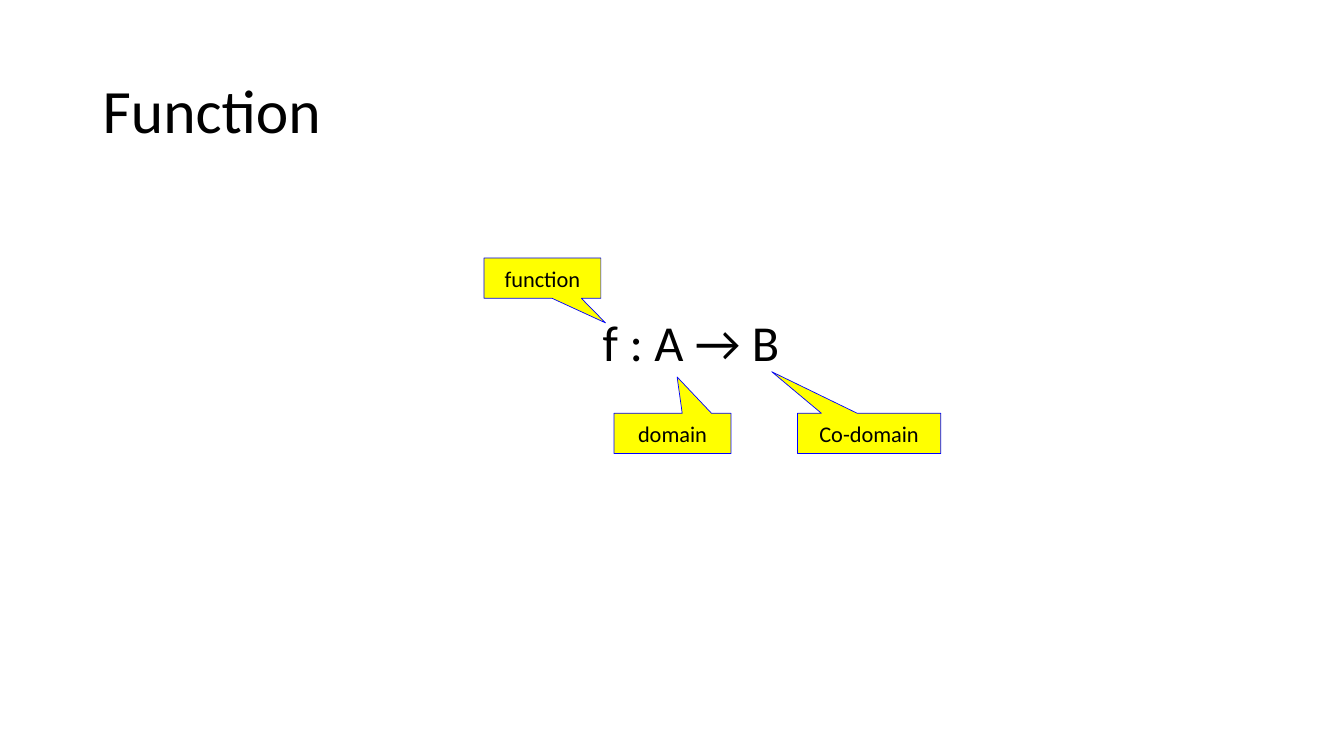
from dataclasses import dataclass

from pptx import Presentation
from pptx.dml.color import RGBColor
from pptx.enum.shapes import MSO_SHAPE
from pptx.enum.text import MSO_ANCHOR, PP_ALIGN
from pptx.util import Inches, Pt

CALLOUT = MSO_SHAPE.RECTANGULAR_CALLOUT
MIDDLE = MSO_ANCHOR.MIDDLE
LEFT, CENTER = PP_ALIGN.LEFT, PP_ALIGN.CENTER


@dataclass(frozen=True)
class Theme:
    font: str = "Calibri"
    ink: RGBColor = RGBColor(0, 0, 0)
    callout_fill: RGBColor = RGBColor(255, 255, 0)
    callout_line: RGBColor = RGBColor(0, 0, 255)
    title_size: int = 44
    formula_size: int = 36
    label_size: int = 16


class SlideBuilder:
    def __init__(self, page, theme):
        self.page = page
        self.theme = theme

    def add_words(self, shape, words, size, align, spacing=1.0):
        frame = shape.text_frame
        frame.word_wrap = True
        frame.vertical_anchor = MIDDLE
        para = frame.paragraphs[0]
        para.alignment = align
        para.line_spacing = spacing
        span = para.add_run()
        span.text = words
        span.font.name = self.theme.font
        span.font.size = Pt(size)
        span.font.color.rgb = self.theme.ink

    def add_text(self, words, left, top, width, height, size, spacing=1.0):
        box = self.page.shapes.add_textbox(
            Inches(left), Inches(top), Inches(width), Inches(height))
        self.add_words(box, words, size, LEFT, spacing)

    def add_callout(self, words, left, top, width, tip, height=0.4):
        """Add a label whose tip is offset from its centre, in box widths and heights."""
        shape = self.page.shapes.add_shape(
            CALLOUT, Inches(left), Inches(top), Inches(width), Inches(height))
        shape.shadow.inherit = False
        shape.adjustments[0], shape.adjustments[1] = tip
        shape.fill.solid()
        shape.fill.fore_color.rgb = self.theme.callout_fill
        shape.line.color.rgb = self.theme.callout_line
        shape.line.width = Pt(0.5)
        self.add_words(shape, words, self.theme.label_size, CENTER)


def main():
    deck = Presentation()
    deck.slide_width, deck.slide_height = Inches(13.33), Inches(7.5)
    theme = Theme()
    slide = SlideBuilder(deck.slides.add_slide(deck.slide_layouts[6]), theme)

    slide.add_text("Function", 0.92, 0.4, 11.5, 1.45, theme.title_size, spacing=0.9)
    slide.add_text("f : A → B", 5.88, 3.03, 2.2, 0.71, theme.formula_size)

    lower_row = 4.1
    slide.add_callout("function", 4.8, 2.56, 1.16, (0.54, 1.11))
    slide.add_callout("domain", 6.09, lower_row, 1.16, (0.04, -1.4))
    slide.add_callout("Co-domain", 7.91, lower_row, 1.42, (-0.68, -1.53))

    deck.save("out.pptx")


if __name__ == "__main__":
    main()
